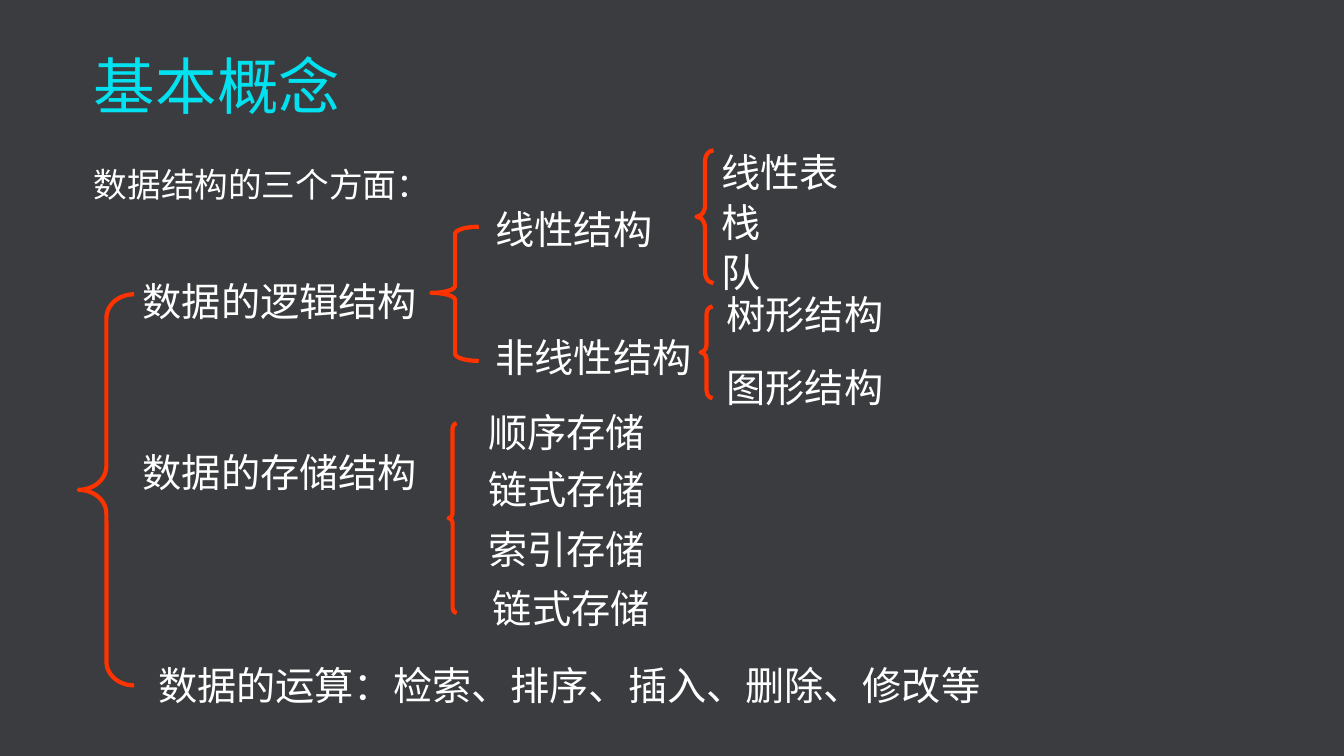
from pptx import Presentation
from pptx.dml.color import RGBColor
from pptx.enum import shapes, text
from pptx.util import Pt

COLORS = {"background": "3A3C3F", "title": "01E1EF", "text": "FFFFFF", "brace": "FF3300"}
CJK = "Noto Sans CJK SC"


class Deck:
    label_size = 28
    label_font = "Times New Roman"

    def __init__(self):
        self.prs = Presentation()
        self.prs.slide_width, self.prs.slide_height = Pt(960), Pt(540)
        self.s = self.prs.slides.add_slide(self.prs.slide_layouts[6])
        fill = self.s.background.fill
        fill.solid()
        fill.fore_color.rgb = RGBColor.from_string(COLORS["background"])

    def text(self, words, box, size, font, color="text", wrap=True, spacing=1.0):
        sp = self.s.shapes.add_textbox(*map(Pt, box))
        tf = sp.text_frame
        tf.word_wrap = wrap
        tf.vertical_anchor = text.MSO_ANCHOR.TOP
        p = tf.paragraphs[0]
        p.line_spacing = spacing
        r = p.add_run()
        r.text = words
        for name, value in {"size": Pt(size), "name": font}.items():
            setattr(r.font, name, value)
        r.font.color.rgb = RGBColor.from_string(COLORS[color])

    def label(self, words, left, top):
        """One line in a box that is just as wide as its full-width characters."""
        width = self.label_size * len(words) + 14.4
        self.text(words, (left, top, width, 41), self.label_size, self.label_font, wrap=False)

    def brace(self, box, curve, point=0.5):
        sp = self.s.shapes.add_shape(shapes.MSO_SHAPE.LEFT_BRACE, *map(Pt, box))
        sp.shadow.inherit = False
        sp.fill.background()
        sp.line.color.rgb = RGBColor.from_string(COLORS["brace"])
        sp.line.width = Pt(3)
        sp.adjustments[0], sp.adjustments[1] = curve, point


LABELS = [
    ("数据的逻辑结构", 95, 194.4),
    ("数据的存储结构", 95, 316.8),
    ("数据的运算：检索、排序、插入、删除、修改等", 106, 468.7),
    ("线性结构", 347, 143.3),
    ("非线性结构", 347, 234.7),
    ("顺序存储", 341.5, 288),
    ("链式存储", 341.5, 329),
    ("索引存储", 341.5, 371.5),
    ("链式存储", 345, 414),
    ("线性表", 508.3, 102.2),
    ("栈", 508.3, 138.2),
    ("队", 508.3, 174.2),
    ("树形结构", 512, 203.8),
    ("图形结构", 512, 256.3),
]
BRACES = [
    ((56.2, 210.2, 39.6, 279.4), 0.428),
    ((320.4, 302.4, 5.8, 135.4), 0.608),
    ((308.2, 162, 33.8, 95.8), 0.149, 0.493),
    ((497.5, 107.3, 12.2, 95), 0.656),
    ((500.4, 218.9, 8.6, 65.5), 0.608),
]


def main():
    deck = Deck()
    deck.text("基本概念", (60, 36.7, 841, 33), 44, CJK, "title", spacing=0.9)
    deck.text("数据结构的三个方面：", (60, 102.2, 763, 353), 24, CJK, spacing=1.4)
    for brace in BRACES:
        deck.brace(*brace)
    for label in LABELS:
        deck.label(*label)
    deck.prs.save("out.pptx")


if __name__ == "__main__":
    main()
